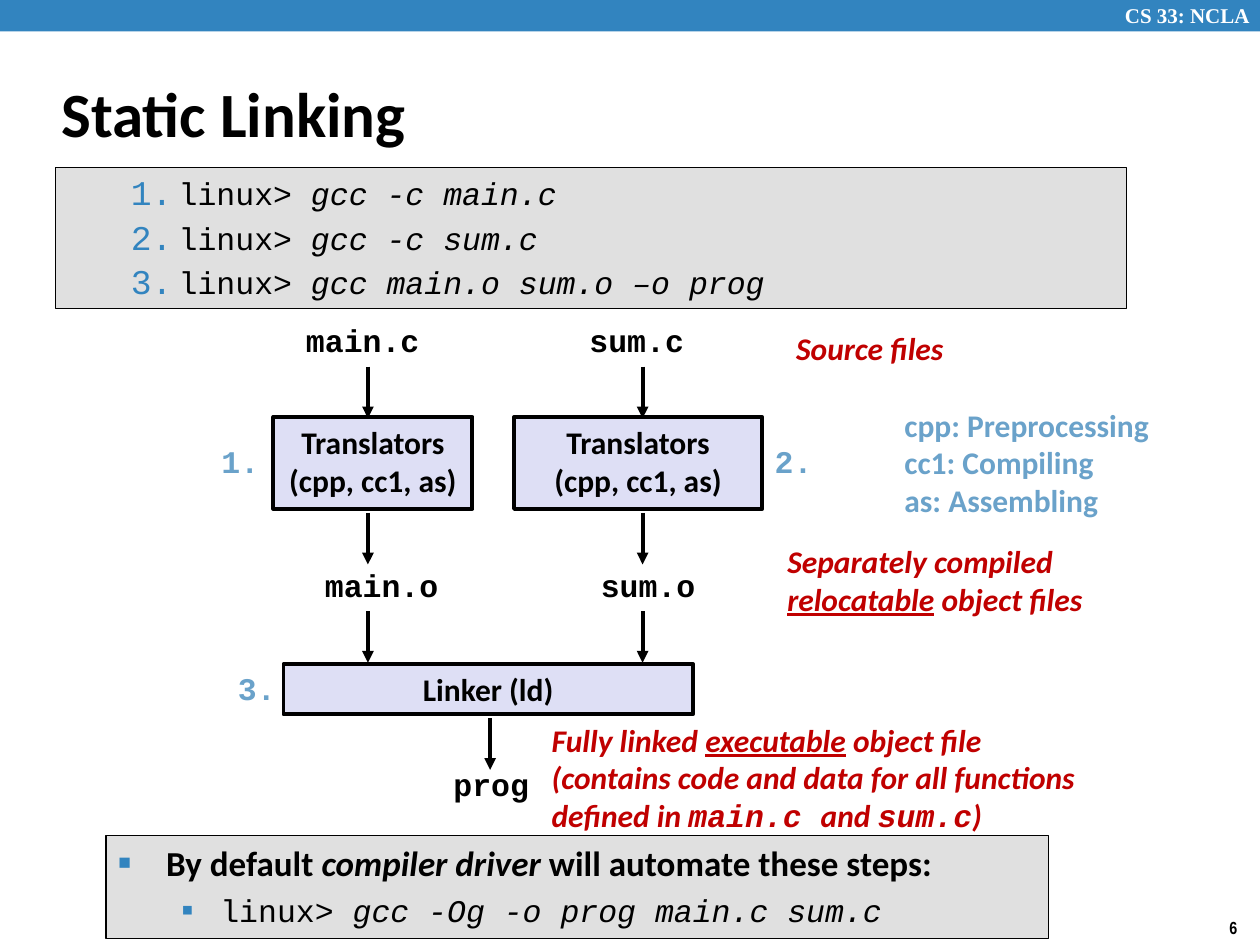
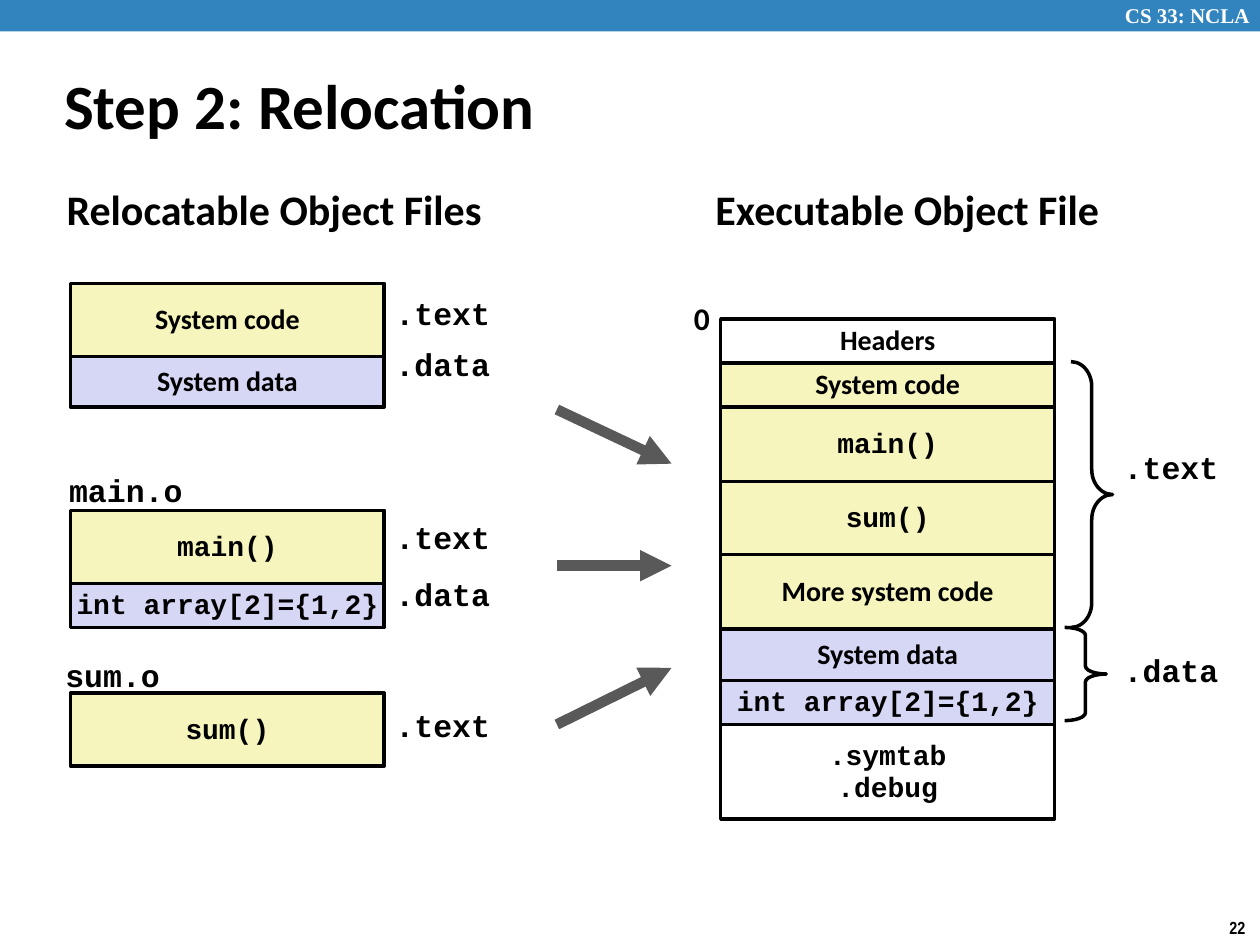
from itertools import product
from lxml.etree import SubElement
from pptx import Presentation
from pptx.dml.color import RGBColor
from pptx.enum.shapes import MSO_CONNECTOR, MSO_SHAPE as SHAPE
from pptx.enum.text import MSO_ANCHOR as ANCHOR, PP_ALIGN as ALIGN
from pptx.oxml.ns import qn
from pptx.util import Inches, Pt

BLUE = RGBColor(0x32, 0x84, 0xBF)
PALE_BLUE = RGBColor(0x6A, 0xA2, 0xCA)
RED = RGBColor(0xC0, 0x00, 0x00)
BLACK = RGBColor(0x00, 0x00, 0x00)
WHITE = RGBColor(0xFF, 0xFF, 0xFF)
GRAY = RGBColor(0xE0, 0xE0, 0xE0)
DARK_GRAY = RGBColor(0x59, 0x59, 0x59)
LAVENDER = RGBColor(0xDE, 0xDF, 0xF5)
CODE_FILL = RGBColor(0xF6, 0xF5, 0xBD)
DATA_FILL = RGBColor(0xD6, 0xD6, 0xF5)
SANS = "Calibri"
MONO = "Courier New"


def add_text(page, at, lines, size=18, color=BLACK, font=SANS, style="b", fill=None,
             border=2.25, align=ALIGN.LEFT, anchor=ANCHOR.TOP, wrap=False, spacing=None):
    lengths = [Inches(value) for value in at]
    if fill is None:
        box = page.shapes.add_textbox(*lengths)
    else:
        box = page.shapes.add_shape(SHAPE.RECTANGLE, *lengths)
        box.shadow.inherit = False
        box.fill.solid()
        box.fill.fore_color.rgb = fill
        box.line.color.rgb = BLACK
        box.line.width = Pt(border)
    frame = box.text_frame
    frame.word_wrap = wrap
    frame.vertical_anchor = anchor
    for index, line in enumerate(lines):
        para = frame.add_paragraph() if index else frame.paragraphs[0]
        para.alignment = align
        if spacing:
            para.line_spacing = spacing
        for piece in [(line,)] if isinstance(line, str) else line:
            text, span_style, span_font = (*piece, style, font)[:3] if len(piece) != 2 else (*piece, font)
            span = para.add_run()
            span.text = text
            span.font.name = span_font
            span.font.size = Pt(size)
            span.font.color.rgb = color
            span.font.bold = "b" in span_style
            span.font.italic = "i" in span_style
            span.font.underline = "u" in span_style
    return box


def add_arrow(page, start, end, color=BLACK, width=2.25):
    arrow = page.shapes.add_connector(
        MSO_CONNECTOR.STRAIGHT, *[Inches(value) for value in (*start, *end)])
    arrow.line.color.rgb = color
    arrow.line.width = Pt(width)
    SubElement(arrow.line._get_or_add_ln(), qn("a:tailEnd"), type="triangle")
    SubElement(arrow._element.spPr, qn("a:effectLst"))


deck = Presentation()
deck.slide_width = Inches(10)
deck.slide_height = Inches(7.5)
pages = []
for title, title_at, number in [
    ("Static Linking", (0.39, 0.48, 8.3, 0.83), "6"),
    ("Step 2: Relocation", (0.41, 0.51, 8.31, 0.63), "22"),
]:
    page = deck.slides.add_slide(deck.slide_layouts[6])
    band = page.shapes.add_shape(SHAPE.RECTANGLE, 0, 0, deck.slide_width, Inches(0.25))
    band.shadow.inherit = False
    band.fill.solid()
    band.fill.fore_color.rgb = BLUE
    band.line.fill.background()
    add_text(page, (8.83, -0.03, 1.24, 0.3), ["CS 33: NCLA"], 12, WHITE, "Times New Roman")
    add_text(page, (9.66, 7.23, 0.34, 0.27), [number], 10, font="Arial Narrow")
    add_text(page, title_at, [title], 36, anchor=ANCHOR.MIDDLE, wrap=True)
    pages.append(page)
linking, relocation = pages

commands = add_text(
    linking, (0.44, 1.33, 8.5, 1.12),
    [[("linux> ", ""), (command, "i")] for command in
     ("gcc -c main.c", "gcc -c sum.c", "gcc main.o sum.o –o prog")],
    font=MONO, fill=GRAY, border=0.75, wrap=True)

for x, y in product((2.92, 5.1), (2.91, 4.07, 4.85)):
    add_arrow(linking, (x, y), (x, y + 0.41))
add_arrow(linking, (3.89, 5.7), (3.89, 6.11))

translators = ["Translators", "(cpp, cc1, as)"]
for at, lines in [
    ((2.17, 3.31, 1.58, 0.73), translators),
    ((4.08, 3.31, 1.97, 0.73), translators),
    ((2.25, 5.27, 3.25, 0.4), ["Linker (ld)"]),
]:
    add_text(linking, at, lines, fill=LAVENDER, align=ALIGN.CENTER)

for left, top, width, label, color in [
    (2.33, 2.5, 1.11, "main.c", BLACK),
    (4.58, 2.5, 0.96, "sum.c", BLACK),
    (2.48, 4.44, 1.11, "main.o", BLACK),
    (4.67, 4.44, 0.96, "sum.o", BLACK),
    (3.5, 6.02, 0.81, "prog", BLACK),
    (1.66, 3.46, 0.5, "1.", PALE_BLUE),
    (6.05, 3.46, 0.5, "2.", PALE_BLUE),
    (1.79, 5.26, 0.5, "3.", PALE_BLUE),
]:
    add_text(linking, (left, top, width, 0.4), [label], color=color, font=MONO)

for at, lines in [
    ((6.22, 2.56, 1.44, 0.4), ["Source files"]),
    ((6.15, 4.25, 2.63, 0.71),
     ["Separately compiled", [("relocatable", "biu"), (" object files", "bi")]]),
    ((4.28, 5.67, 4.46, 1.01),
     [[("Fully linked ", "bi"), ("executable", "biu"), (" object file", "bi")],
      "(contains code and data for all functions",
      [("defined in ", "bi"), ("main.c ", "bi", MONO), ("and ", "bi"),
       ("sum.c", "bi", MONO), (")", "bi")]]),
]:
    add_text(linking, at, lines, color=RED, style="bi")
add_text(linking, (7.08, 3.17, 2.16, 1.01),
         ["cpp: Preprocessing", "cc1: Compiling", "as: Assembling"], color=PALE_BLUE)

driver = add_text(
    linking, (0.84, 6.63, 7.48, 0.82),
    [[("By default ", "b"), ("compiler driver", "bi"), (" will automate these steps:", "b")],
     [("linux> ", "", MONO), ("gcc -Og -o prog main.c sum.c", "i", MONO)]],
    20, fill=GRAY, border=0.75, wrap=True)
for span in driver.text_frame.paragraphs[1].runs:
    span.font.size = Pt(18)

numbered = [(para, 0.88, 0.38, 110, None) for para in commands.text_frame.paragraphs]
heading, example = driver.text_frame.paragraphs
for para, margin, hanging, percent, mark in numbered + [
    (heading, 0.38, 0.38, 60, "■"),
    (example, 0.81, 0.31, 110, "▪"),
]:
    props = para._p.get_or_add_pPr()
    props.set("marL", str(Inches(margin)))
    props.set("indent", str(-Inches(hanging)))
    bullet_color = SubElement(props, qn("a:buClr"))
    SubElement(bullet_color, qn("a:srgbClr"), val=str(BLUE))
    SubElement(props, qn("a:buSzPct"), val=str(percent * 1000))
    if mark:
        SubElement(props, qn("a:buFont"), typeface="Arial")
        SubElement(props, qn("a:buChar"), char=mark)
    else:
        SubElement(props, qn("a:buFont"), typeface=MONO)
        SubElement(props, qn("a:buAutoNum"), type="arabicPeriod")
    para.space_before = Pt(4)

for left, width, heading in [
    (0.43, 3.53, "Relocatable Object Files"),
    (5.58, 3.28, "Executable Object File"),
]:
    add_text(relocation, (left, 1.43, width, 0.5), [heading], 24, spacing=0.98)

array = "int array[2]={1,2}"
for left, top, width, sections in [
    (0.56, 2.25, 2.49, [
        (0.58, ["System code"], SANS, CODE_FILL),
        (0.4, ["System data"], SANS, DATA_FILL)]),
    (0.56, 4.05, 2.49, [
        (0.58, ["main()"], MONO, CODE_FILL),
        (0.35, [array], MONO, DATA_FILL)]),
    (0.56, 5.5, 2.49, [(0.58, ["sum()"], MONO, CODE_FILL)]),
    (5.72, 2.53, 2.65, [
        (0.35, ["Headers"], SANS, WHITE),
        (0.35, ["System code"], SANS, CODE_FILL),
        (0.59, ["main()"], MONO, CODE_FILL),
        (0.58, ["sum()"], MONO, CODE_FILL),
        (0.59, ["More system code"], SANS, CODE_FILL),
        (0.41, ["System data"], SANS, DATA_FILL),
        (0.35, [array], MONO, DATA_FILL),
        (0.75, [".symtab", ".debug"], MONO, WHITE)]),
]:
    for height, lines, font, fill in sections:
        add_text(relocation, (left, top, width, height), lines, 16, font=font, fill=fill,
                 border=2, align=ALIGN.CENTER, anchor=ANCHOR.MIDDLE,
                 spacing=0.94 if font == MONO else 0.98)
        top += height

for left, top, width, label in [
    (0.45, 3.71, 1.1, "main.o"),
    (0.42, 5.18, 0.96, "sum.o"),
    (3.04, 2.31, 0.95, ".text"),
    (3.04, 2.71, 0.95, ".data"),
    (3.04, 4.09, 0.95, ".text"),
    (3.04, 4.54, 0.95, ".data"),
    (3.04, 5.58, 0.95, ".text"),
    (8.82, 3.53, 0.95, ".text"),
    (8.82, 5.14, 0.95, ".data"),
]:
    add_text(relocation, (left, top, width, 0.39), [label], font=MONO, spacing=0.94)
add_text(relocation, (5.41, 2.34, 0.34, 0.4), ["0"], spacing=0.98)

for left, top, height, curve in [(8.5, 2.87, 2.11, 0.6), (8.45, 4.98, 0.74, 0.19)]:
    brace = relocation.shapes.add_shape(
        SHAPE.RIGHT_BRACE, Inches(left), Inches(top), Inches(0.33), Inches(height))
    brace.shadow.inherit = False
    brace.adjustments[0] = curve
    brace.fill.background()
    brace.line.color.rgb = BLACK
    brace.line.width = Pt(2)

for start_y, end_y in [(3.25, 3.68), (4.49, 4.49), (5.75, 5.3)]:
    add_arrow(relocation, (4.42, start_y), (5.33, end_y), DARK_GRAY, 6)

deck.save("out.pptx")
